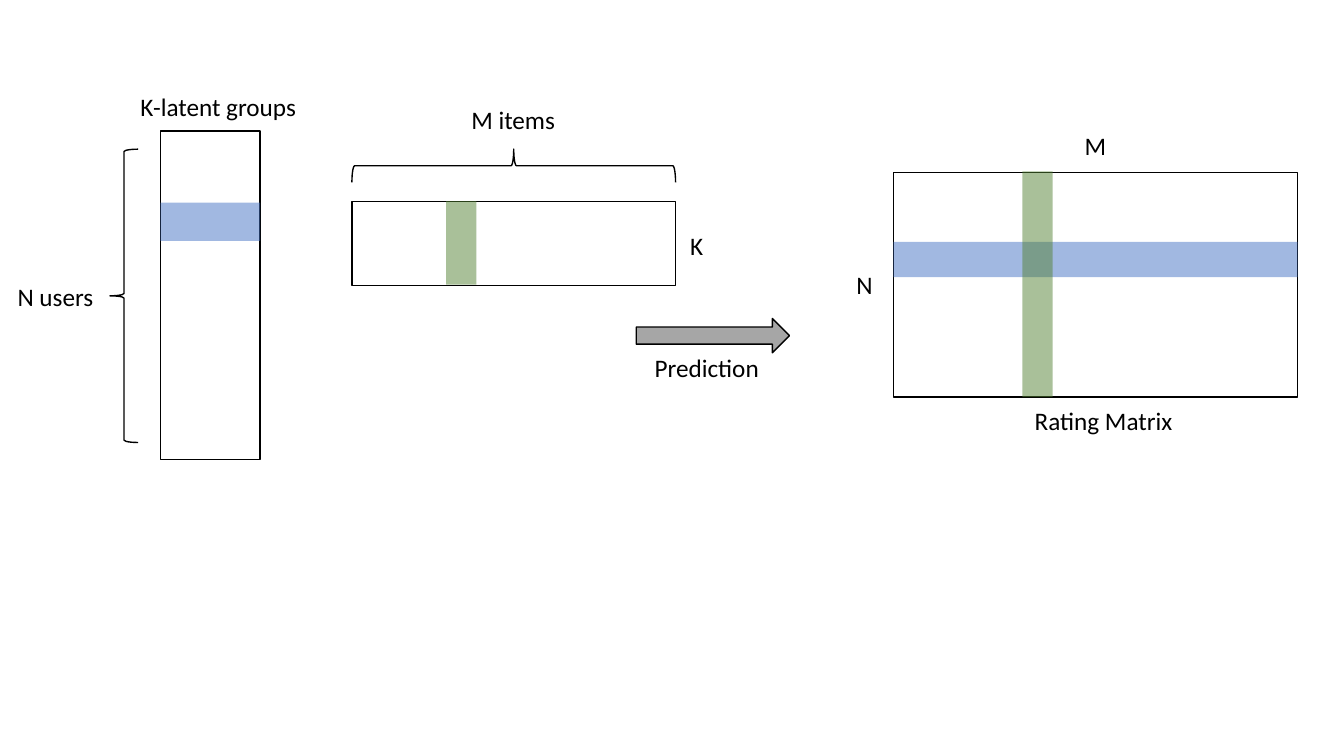
"""Build a slide that explains matrix factorization for rating prediction."""
from lxml import etree
from pptx import Presentation
from pptx.dml.color import RGBColor
from pptx.enum import shapes, text
from pptx.oxml.ns import qn
from pptx.util import Inches, Pt

BLACK, WHITE, GRAY = "000000", "FFFFFF", "A6A6A6"
USER_BLUE, ITEM_GREEN = "4472C4", "548235"
SHAPE = shapes.MSO_SHAPE


def color(value):
    """Return the colour for a hex string."""
    return RGBColor.from_string(value)


def add_shape(slide, kind, box, fill=None, line=BLACK, rotation=0):
    """Add a preset shape with an optional fill and outline."""
    shape = slide.shapes.add_shape(kind, *map(Inches, box))
    shape.shadow.inherit = False
    shape.rotation = rotation
    if fill:
        shape.fill.solid()
        shape.fill.fore_color.rgb = color(fill)
    else:
        shape.fill.background()
    if line:
        shape.line.color.rgb = color(line)
        shape.line.width = Pt(1)
    else:
        shape.line.fill.background()
    return shape


def add_matrix(slide, box, rotation=0):
    """Add an outlined white matrix."""
    add_shape(slide, SHAPE.RECTANGLE, box, WHITE, rotation=rotation)


def add_stripe(slide, box, fill, rotation=0):
    """Add a half-transparent stripe that marks a row or column."""
    stripe = add_shape(slide, SHAPE.RECTANGLE, box, fill, None, rotation)
    fill_color = stripe._element.spPr.find(qn("a:solidFill"))[0]
    etree.SubElement(fill_color, qn("a:alpha"), val="50000")


def add_label(slide, caption, left, top, width):
    """Add a one-line centred label."""
    label = slide.shapes.add_textbox(*map(Inches, (left, top, width, 0.38)))
    frame = label.text_frame
    frame.word_wrap = True
    frame.auto_size = text.MSO_AUTO_SIZE.SHAPE_TO_FIT_TEXT
    frame.margin_left = frame.margin_right = Inches(0.07)
    frame.margin_top = frame.margin_bottom = Inches(0.04)
    paragraph = frame.paragraphs[0]
    paragraph.text = caption
    paragraph.alignment = text.PP_ALIGN.CENTER
    paragraph.font.name = "Calibri"
    paragraph.font.size = Pt(18)
    paragraph.font.color.rgb = color(BLACK)


def add_user_factors(slide):
    """Add the matrix of users by latent groups."""
    add_matrix(slide, (1.59, 1.3, 0.99, 3.26))
    add_shape(slide, SHAPE.LEFT_BRACE, (1.09, 1.48, 0.28, 2.91))
    add_stripe(slide, (1.59, 2.01, 0.99, 0.38), USER_BLUE)
    add_label(slide, "N users", -0.15, 2.75, 1.4)
    add_label(slide, "K-latent groups", 0.96, 0.87, 2.41)


def add_item_factors(slide):
    """Add the matrix of latent groups by items."""
    add_matrix(slide, (4.68, 0.81, 0.83, 3.21), 270)
    add_shape(slide, SHAPE.LEFT_BRACE, (4.93, 0.04, 0.33, 3.21), rotation=90)
    add_stripe(slide, (4.16, 2.26, 0.83, 0.3), ITEM_GREEN, 270)
    add_label(slide, "M items", 4.39, 0.99, 1.4)
    add_label(slide, "K", 6.69, 2.24, 0.44)


def add_prediction(slide):
    """Add the arrow that leads to the rating matrix."""
    add_shape(slide, SHAPE.RIGHT_ARROW, (6.31, 3.16, 1.52, 0.34), GRAY)
    add_label(slide, "Prediction", 6.31, 3.46, 1.4)


def add_rating_matrix(slide):
    """Add the matrix of users by items."""
    add_matrix(slide, (8.86, 1.71, 4.01, 2.23))
    add_stripe(slide, (8.86, 2.4, 4.01, 0.35), USER_BLUE)
    add_stripe(slide, (9.17, 2.67, 2.24, 0.3), ITEM_GREEN, 270)
    add_label(slide, "N", 8.2, 2.63, 0.75)
    add_label(slide, "M", 10.37, 1.25, 0.99)
    add_label(slide, "Rating Matrix", 10.04, 3.98, 1.81)


def main():
    """Build and save the presentation."""
    presentation = Presentation()
    presentation.slide_width = Inches(13.33)
    presentation.slide_height = Inches(7.5)
    slide = presentation.slides.add_slide(presentation.slide_layouts[6])
    add_user_factors(slide)
    add_item_factors(slide)
    add_prediction(slide)
    add_rating_matrix(slide)
    presentation.save("out.pptx")


if __name__ == "__main__":
    main()
